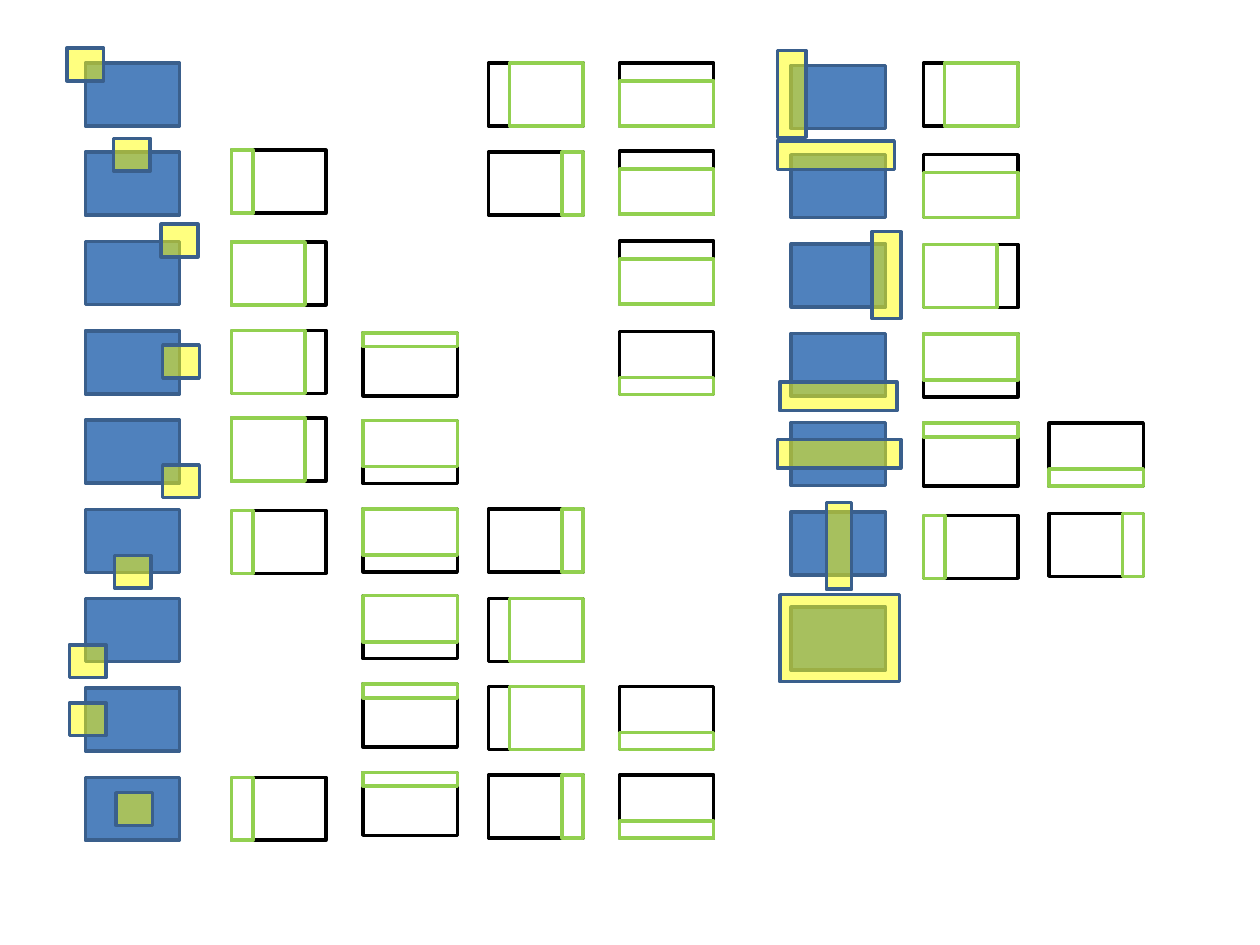
"""Build a slide of rectangle overlaps and the clipped parts of each rectangle."""
from lxml import etree
from pptx import Presentation
from pptx.dml.color import RGBColor
from pptx.enum.shapes import MSO_SHAPE
from pptx.oxml.ns import qn
from pptx.util import Cm, Pt

RECTANGLE = MSO_SHAPE.RECTANGLE

THEME = {
    "base": {"fill": "4F81BD", "line": "3A5F8C"},
    "overlay": {"fill": "FFFF00", "line": "3A5F8C", "opacity": 50},
    "frame": {"line": "000000"},
    "part": {"line": "92D050"},
    "line_format": {"width": Pt(2)},
}

SLIDE_SIZE = (25.4, 19.05)
BASE_SIZE = (1.9, 1.27)
ROW_PITCH = 1.8

SMALL_SIZE = (0.74, 0.66)
SMALL_OVERLAYS = [
    (1.35, 0.97), (2.29, 2.79), (3.25, 4.52),
    (3.28, 6.96), (3.28, 9.37), (2.31, 11.2),
    (1.4, 13), (1.4, 14.17), (2.34, 15.98),
]
LARGE_OVERLAYS = [
    (15.67, 1.02, 0.58, 1.75),
    (15.67, 2.84, 2.36, 0.58),
    (17.58, 4.67, 0.58, 1.75),
    (15.72, 7.7, 2.36, 0.58),
    (15.67, 8.86, 2.49, 0.58),
    (16.66, 10.13, 0.51, 1.75),
    (15.72, 11.99, 2.41, 1.75),
]
LEFT_BASES = [(1.72, 1.27 + ROW_PITCH * row) for row in range(9)]
RIGHT_BASES = [(15.95, 1.32 + ROW_PITCH * row) for row in range(6)] + [(15.95, 12.24)]

PARTS = {
    "left strip": (0, 0, 0.43, 1.27),
    "left wide": (0, 0, 1.48, 1.27),
    "right strip": (1.48, 0, 0.42, 1.27),
    "right wide": (0.42, 0, 1.48, 1.27),
    "top strip": (0, 0, 1.9, 0.28),
    "top wide": (0, 0, 1.9, 0.93),
    "bottom strip": (0, 0.93, 1.9, 0.34),
    "bottom wide": (0, 0.36, 1.9, 0.91),
}

LEFT_COLUMNS = [
    (4.67, [(3.03, "left strip"), (4.88, "left wide"), (6.66, "left wide"),
            (8.43, "left wide"), (10.29, "left strip"), (15.67, "left strip")]),
    (7.32, [(6.71, "top strip"), (8.48, "top wide"), (10.26, "top wide"),
            (12.01, "top wide"), (13.79, "top strip"), (15.57, "top strip")]),
    (9.85, [(1.27, "right wide"), (3.07, "right strip"), (10.26, "right strip"),
            (12.07, "right wide"), (13.84, "right wide"), (15.62, "right strip")]),
    (12.49, [(1.27, "bottom wide"), (3.05, "bottom wide"), (4.86, "bottom wide"),
             (6.68, "bottom strip"), (13.84, "bottom strip"), (15.62, "bottom strip")]),
]
RIGHT_COLUMNS = [
    (18.62, [(1.27, "right wide"), (3.12, "bottom wide"), (4.93, "left wide"),
             (6.73, "top wide"), (8.53, "top strip"), (10.39, "left strip")]),
    (21.15, [(8.53, "bottom strip"), (10.35, "right strip")]),
]


def add_box(shapes, role, left, top, width, height):
    """Add one rectangle styled by its role in the theme."""
    style = THEME[role]
    box = shapes.add_shape(RECTANGLE, Cm(left), Cm(top), Cm(width), Cm(height))
    box.shadow.inherit = False
    if "fill" in style:
        box.fill.solid()
        box.fill.fore_color.rgb = RGBColor.from_string(style["fill"])
    else:
        box.fill.background()
    if "opacity" in style:
        color = box.element.spPr.find(qn("a:solidFill")).find(qn("a:srgbClr"))
        etree.SubElement(color, qn("a:alpha"), val=str(style["opacity"] * 1000))
    box.line.color.rgb = RGBColor.from_string(style["line"])
    for name, value in THEME["line_format"].items():
        setattr(box.line, name, value)


def add_overlaps(shapes, bases, overlays):
    """Add the solid rectangles, then the translucent ones over them."""
    for base in bases:
        add_box(shapes, "base", *base, *BASE_SIZE)
    for overlay in overlays:
        add_box(shapes, "overlay", *overlay)


def add_clip(shapes, left, top, kind):
    """Add a frame and the part of it that remains."""
    shift_x, shift_y, width, height = PARTS[kind]
    add_box(shapes, "frame", left, top, *BASE_SIZE)
    add_box(shapes, "part", left + shift_x, top + shift_y, width, height)


def main():
    """Build and save the deck."""
    deck = Presentation()
    deck.slide_width, deck.slide_height = map(Cm, SLIDE_SIZE)
    shapes = deck.slides.add_slide(deck.slide_layouts[6]).shapes

    small_overlays = [place + SMALL_SIZE for place in SMALL_OVERLAYS]
    add_overlaps(shapes.add_group_shape().shapes, LEFT_BASES, small_overlays)
    add_overlaps(shapes, RIGHT_BASES, LARGE_OVERLAYS)

    for left, clips in LEFT_COLUMNS:
        column = shapes.add_group_shape().shapes
        for top, kind in clips:
            add_clip(column, left, top, kind)
    for left, clips in RIGHT_COLUMNS:
        for top, kind in clips:
            add_clip(shapes.add_group_shape().shapes, left, top, kind)

    deck.save("out.pptx")


if __name__ == "__main__":
    main()
